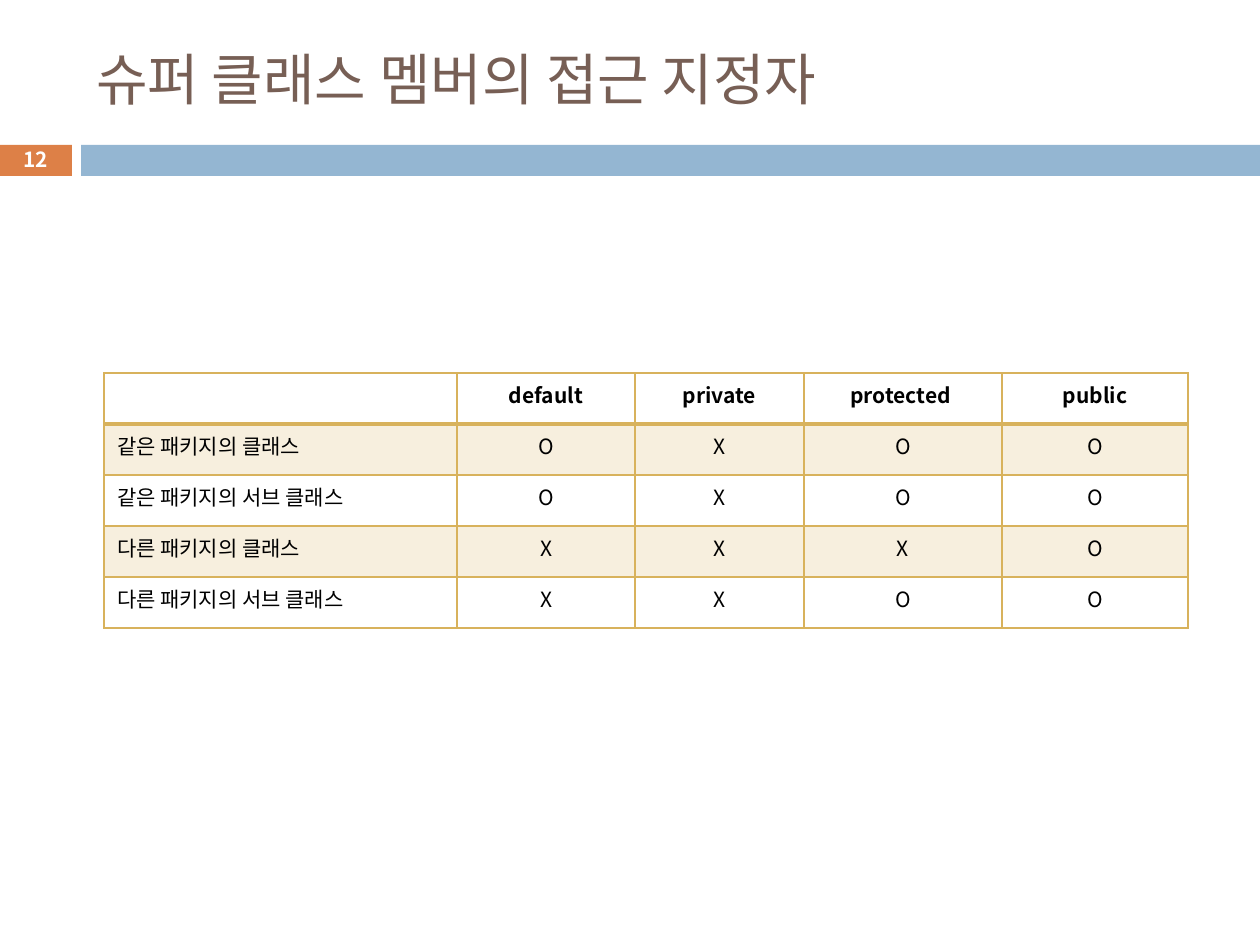
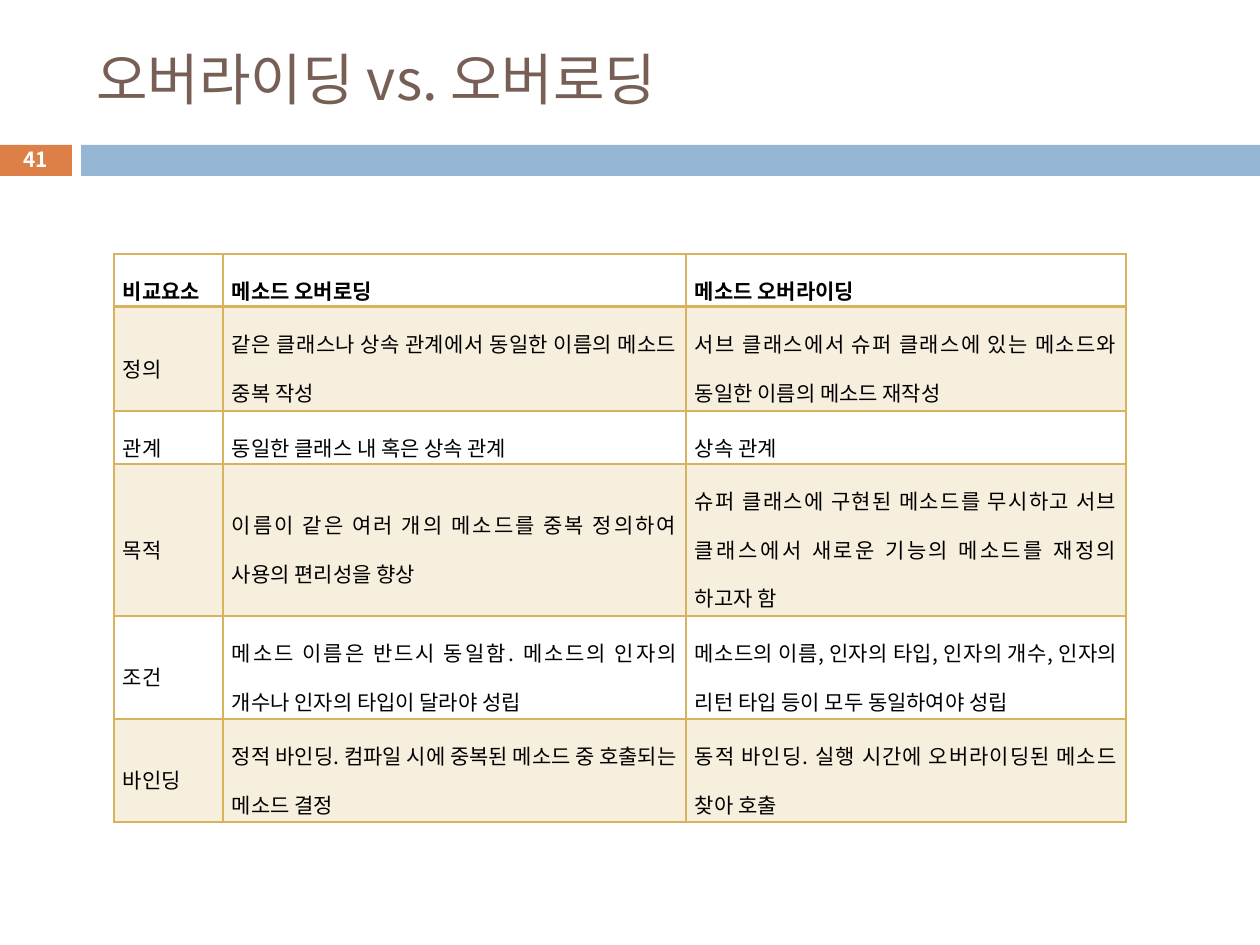
from lxml import etree
from pptx import Presentation
from pptx.dml.color import RGBColor
from pptx.enum.shapes import MSO_SHAPE
from pptx.enum.text import MSO_ANCHOR, PP_ALIGN
from pptx.oxml.ns import qn
from pptx.util import Pt

PX = 914400 / 126
FONT = "Noto Sans CJK KR"
ORANGE = RGBColor(0xDD, 0x80, 0x47)
BLUE = RGBColor(0x94, 0xB6, 0xD2)
BROWN = RGBColor(0x77, 0x5F, 0x55)
GOLD = RGBColor(0xD8, 0xB2, 0x5C)
BLACK = RGBColor(0, 0, 0)
WHITE = RGBColor(0xFF, 0xFF, 0xFF)
RECT = MSO_SHAPE.RECTANGLE
MIDDLE, TOP = MSO_ANCHOR.MIDDLE, MSO_ANCHOR.TOP
LEFT, CENTER, JUSTIFY = PP_ALIGN.LEFT, PP_ALIGN.CENTER, PP_ALIGN.JUSTIFY

TITLE_BOX = (84, 31, 1124, 94)
NUMBER_BAND = (-1, 145, 73, 31)
NUMBER_BOX = (-1, 142, 73, 34)
TITLE_BAND = (81, 145, 1179, 31)

ACCESS = {
    "origin": (104, 373),
    "cols": [353, 178, 169, 198, 186],
    "rows": [51] * 5,
    "cells": [
        ["", "default", "private", "protected ", "public"],
        ["같은 패키지의 클래스", *"OXOO"],
        ["같은 패키지의 서브 클래스", *"OXOO"],
        ["다른 패키지의 클래스", *"XXXO"],
        ["다른 패키지의 서브 클래스", *"XXOO"],
    ],
    "aligns": [LEFT] + [CENTER] * 4,
    "anchor": TOP,
    "margins": (13, 6),
    "spacing": 1.0,
}

COMPARISON = {
    "origin": (114, 254),
    "cols": [109, 463, 440],
    "rows": [53, 104, 53, 152, 103, 103],
    "cells": [
        ["비교요소", "메소드 오버로딩", "메소드 오버라이딩"],
        ["정의", "같은 클래스나 상속 관계에서 동일한 이름의 메소드 중복 작성",
         "서브 클래스에서 슈퍼 클래스에 있는 메소드와 동일한 이름의 메소드 재작성"],
        ["관계", "동일한 클래스 내 혹은 상속 관계", "상속 관계"],
        ["목적", "이름이 같은 여러 개의 메소드를 중복 정의하여 사용의 편리성을 향상",
         "슈퍼 클래스에 구현된 메소드를 무시하고 서브 클래스에서 새로운 기능의 메소드를 재정의 하고자 함"],
        ["조건", "메소드 이름은 반드시 동일함. 메소드의 인자의 개수나 인자의 타입이 달라야 성립",
         "메소드의 이름, 인자의 타입, 인자의 개수, 인자의 리턴 타입 등이 모두 동일하여야 성립"],
        ["바인딩", "정적 바인딩. 컴파일 시에 중복된 메소드 중 호출되는 메소드 결정",
         "동적 바인딩. 실행 시간에 오버라이딩된 메소드 찾아 호출"],
    ],
    "aligns": [JUSTIFY] * 3,
    "anchor": MIDDLE,
    "margins": (9, 3),
    "spacing": 1.6,
}


def px(*lengths):
    return [round(n * PX) for n in lengths]


def set_all(target, values):
    for name, value in values.items():
        setattr(target, name, value)


def write(tf, text, size, color, align=LEFT, bold=False, spacing=1.0):
    p = tf.paragraphs[0]
    set_all(p, {"alignment": align, "line_spacing": spacing})
    r = p.add_run()
    r.text = text
    set_all(r.font, {"name": FONT, "size": Pt(size), "bold": bold})
    r.font.color.rgb = color
    etree.SubElement(r.font._element, qn("a:ea"), typeface=FONT)


def add_text(s, box, text, size, color, **style):
    tf = s.shapes.add_textbox(*px(*box)).text_frame
    set_all(tf, {"word_wrap": True, "vertical_anchor": MIDDLE})
    write(tf, text, size, color, **style)


def add_band(s, box, color):
    sp = s.shapes.add_shape(RECT, *px(*box))
    sp.shadow.inherit = False
    sp.fill.solid()
    sp.fill.fore_color.rgb = color
    sp.line.fill.background()


def set_borders(cell, widths):
    tcPr = cell._tc.get_or_add_tcPr()
    for i, (side, width) in enumerate(widths.items()):
        ln = etree.Element(qn(f"a:ln{side}"), w=str(Pt(width)))
        fill = etree.SubElement(ln, qn("a:solidFill"))
        etree.SubElement(fill, qn("a:srgbClr"), val=str(GOLD))
        tcPr.insert(i, ln)


def shade(cell, banded):
    if not banded:
        cell.fill.background()
        return
    cell.fill.solid()
    cell.fill.fore_color.rgb = GOLD
    color = cell._tc.tcPr.find(qn("a:solidFill")).find(qn("a:srgbClr"))
    etree.SubElement(color, qn("a:alpha"), val="20000")


def add_grid(s, origin, cols, rows, cells, aligns, anchor, margins, spacing):
    box = px(*origin, sum(cols), sum(rows))
    table = s.shapes.add_table(len(rows), len(cols), *box).table
    set_all(table, {"first_row": False, "horz_banding": False})
    for column, width in zip(table.columns, px(*cols)):
        column.width = width
    for row, height in zip(table.rows, px(*rows)):
        row.height = height
    side, edge = px(*margins)
    layout = {"vertical_anchor": anchor, "margin_left": side,
              "margin_right": side, "margin_top": edge, "margin_bottom": edge}
    for i, texts in enumerate(cells):
        for j, text in enumerate(texts):
            cell = table.cell(i, j)
            set_all(cell, layout)
            shade(cell, i % 2 == 1)
            set_borders(cell, {"L": 1, "R": 1, "T": 2 if i == 1 else 1,
                               "B": 2 if i == 0 else 1})
            if text:
                write(cell.text_frame, text, 12, BLACK, aligns[j],
                      bold=i == 0, spacing=spacing)


def add_table_slide(prs, title, number, grid):
    s = prs.slides.add_slide(prs.slide_layouts[6])
    add_band(s, NUMBER_BAND, ORANGE)
    add_band(s, TITLE_BAND, BLUE)
    add_text(s, TITLE_BOX, title, 32, BROWN)
    add_text(s, NUMBER_BOX, number, 11.9, WHITE, align=CENTER, bold=True)
    add_grid(s, **grid)


def main():
    prs = Presentation()
    prs.slide_width, prs.slide_height = px(1260, 945)
    add_table_slide(prs, "슈퍼 클래스 멤버의 접근 지정자", "12", ACCESS)
    add_table_slide(prs, "오버라이딩 vs. 오버로딩", "41", COMPARISON)
    prs.save("out.pptx")


if __name__ == "__main__":
    main()
